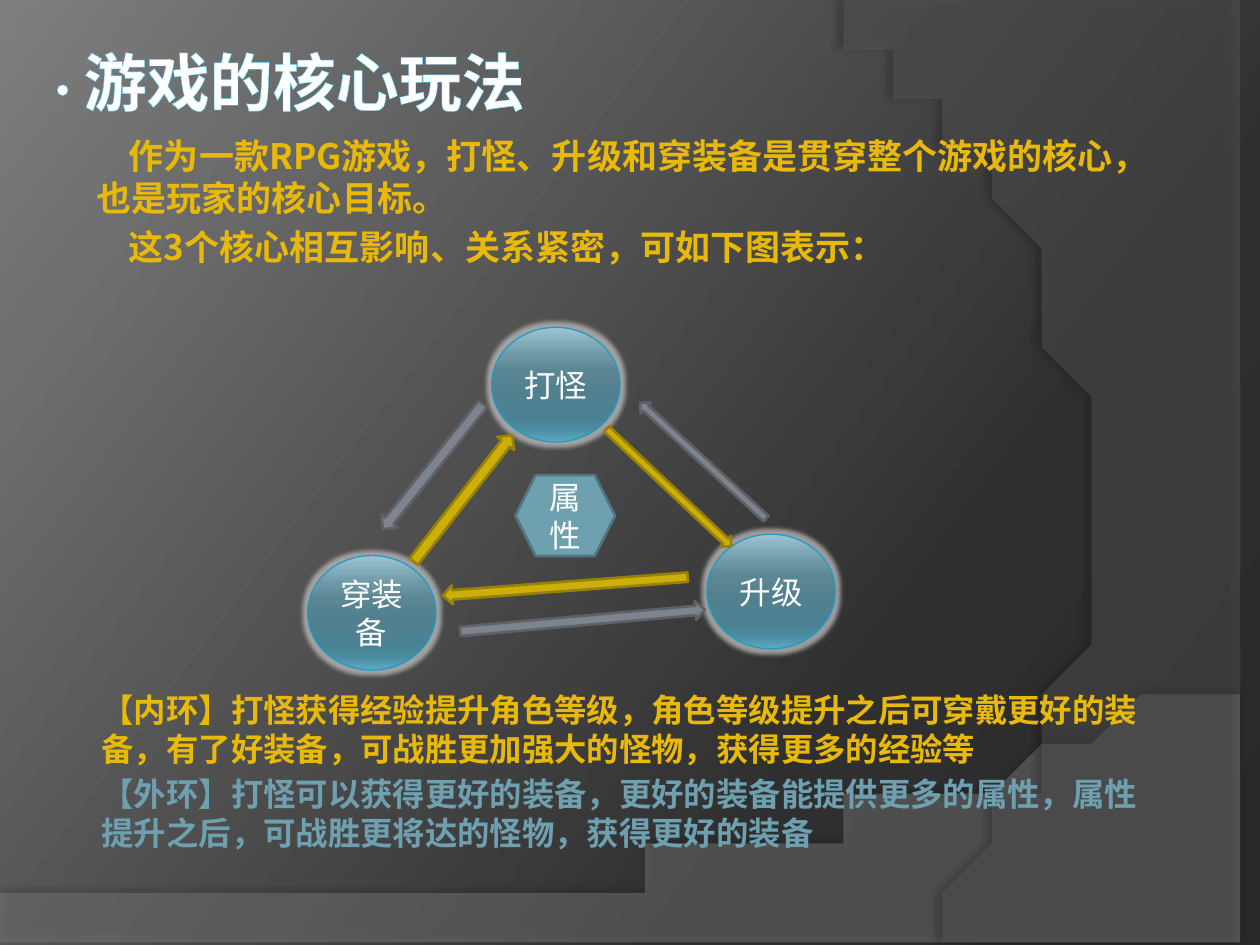
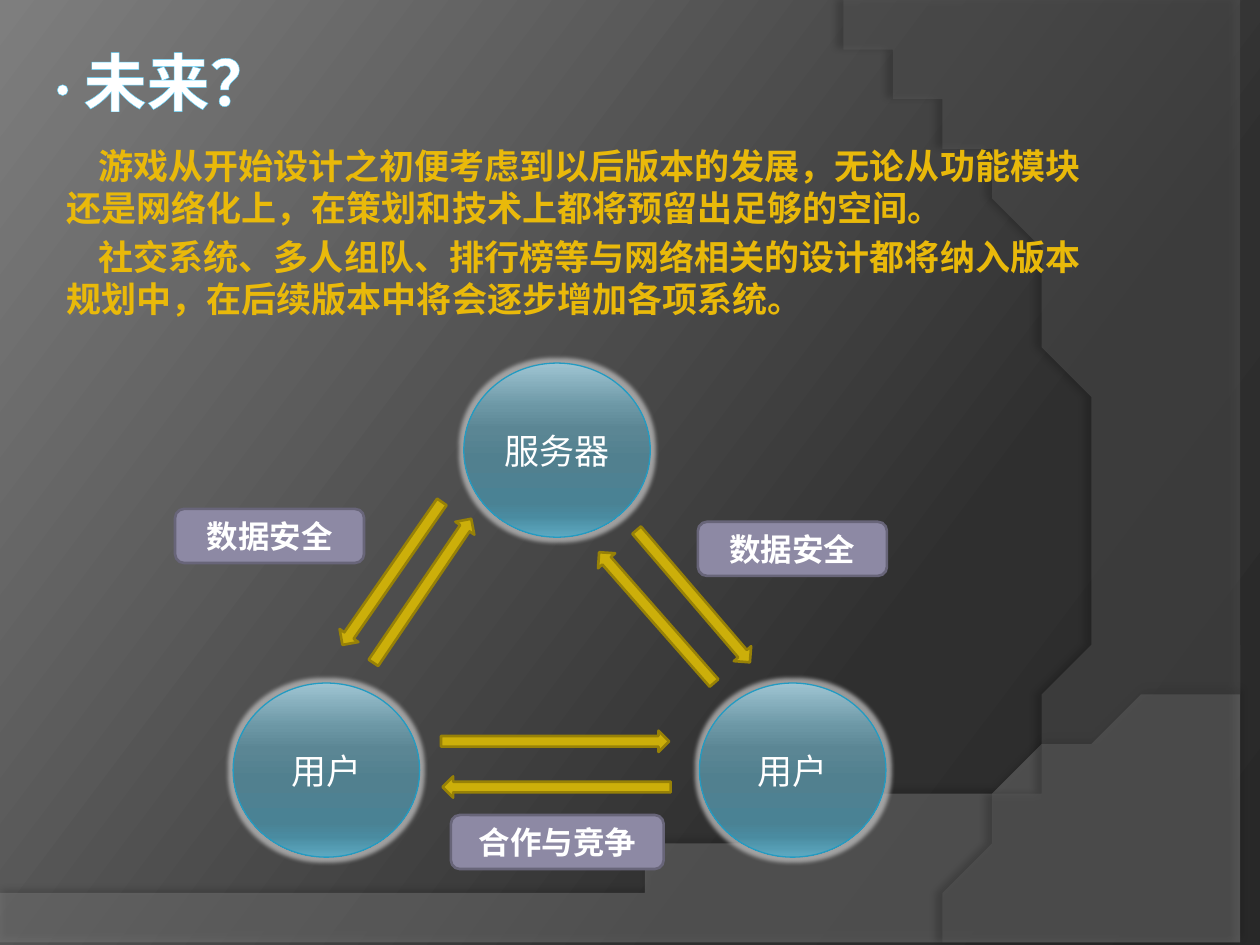
from dataclasses import dataclass

import pptx
import pptx.dml.color
import pptx.enum.shapes
import pptx.enum.text
import pptx.oxml.ns
import pptx.util
from lxml import etree

Cm = pptx.util.Cm
Pt = pptx.util.Pt
RGB = pptx.dml.color.RGBColor.from_string
qn = pptx.oxml.ns.qn
Shape = pptx.enum.shapes.MSO_SHAPE
Align = pptx.enum.text.PP_ALIGN
Anchor = pptx.enum.text.MSO_ANCHOR


@dataclass(frozen=True)
class Theme:
    font: str = "Noto Sans CJK SC"
    white: str = "FFFFFF"
    blue: str = "6EA0B0"
    halo: str = "BFBFBF"
    title_edge: str = "5DD4FF"
    orb_edge: str = "239BC2"
    gold: tuple = ("CCAF0A", "978107")
    gray: tuple = ("7E848D", "5D6268")
    teal: tuple = ("6EA0B0", "517682")
    purple: tuple = ("8D89A4", "686579")
    backdrop: tuple = ((0, "282828"), (30, "2F2F2F"), (100, "7E7E7E"))
    gold_text: tuple = ((0, "FFDC75"), (75, "E9B90A"), (100, "9E8700"))
    orb: tuple = ((0, "9EC4D2"), (25, "6C97A5"), (38, "5B8694"), (55, "51808F"),
                  (80, "4A8294"), (88, "4A8BA0"), (100, "5DAAC2"))
    title_size: float = 36
    bullet_size: float = 24
    body_size: float = 20
    note_size: float = 18.5
    label_size: float = 18


def add_color(parent, color, alpha=None):
    clr = etree.SubElement(parent, qn("a:srgbClr"), val=color)
    if alpha is not None:
        etree.SubElement(clr, qn("a:alpha"), val=str(alpha * 1000))


def set_gradient(fill, element, stops, angle):
    fill.gradient()
    grad = next(element.iter(qn("a:gradFill")))
    gs_list = grad.find(qn("a:gsLst"))
    for gs in list(gs_list):
        gs_list.remove(gs)
    for pos, color in stops:
        add_color(etree.SubElement(gs_list, qn("a:gs"), pos=str(pos * 1000)), color)
    grad.find(qn("a:lin")).set("ang", str(angle * 60000))


def add_effect(sp, name, color, alpha, **attrs):
    effects = sp._element.spPr.find(qn("a:effectLst"))
    effect = etree.SubElement(effects, qn("a:" + name),
                              {key: str(int(value)) for key, value in attrs.items()})
    add_color(effect, color, alpha)


def write(p, text, *, font, size, color, bold=False, edge=None):
    r = p.add_run()
    r.text = text
    r.font.name = font
    r.font.size = Pt(size)
    r.font.bold = bold
    rPr = r._r.get_or_add_rPr()
    rPr.set("lang", "zh-CN")
    if isinstance(color, str):
        r.font.fill.solid()
        r.font.fill.fore_color.rgb = RGB(color)
    else:
        set_gradient(r.font.fill, rPr, color, 90)
    etree.SubElement(rPr, qn("a:ea"), typeface=font)
    if edge:
        ln = etree.Element(qn("a:ln"), w=str(int(Pt(0.39))))
        add_color(etree.SubElement(ln, qn("a:solidFill")), edge)
        rPr.insert(0, ln)
    p.line_spacing = Pt(round(size * 1.2, 1))


def bezier(start, c1, c2, end, steps=40):
    for i in range(1, steps + 1):
        t = i / steps
        u = 1 - t
        yield tuple(u ** 3 * a + 3 * u * u * t * b + 3 * u * t * t * c + t ** 3 * d
                    for a, b, c, d in zip(start, c1, c2, end))


class Deck:
    def __init__(self, theme):
        self.theme = theme
        self.prs = pptx.Presentation()
        self.prs.slide_width, self.prs.slide_height = Cm(25.4), Cm(19.05)
        self.layout = self.prs.slide_layouts[6]
        set_gradient(self.layout.background.fill, self.layout._element, theme.backdrop, 217)

    def new_slide(self, title):
        self.s = self.prs.slides.add_slide(self.layout)
        self.wave([(0, 17.91), (0, 19.05), (25.4, 19.05), (25.4, 13.21)],
                  [(14.2, 18.52), (9.93, 18.26), (0, 17.91)], "7F7F7F", 45, 35, 3.5, 270)
        self.wave([(25.4, 0.05), (25.4, 19.05), (17.86, 19.05)],
                  [(22.63, 15.72), (24.05, 6.99), (16.97, 0)], "5E5E5E", 40, 45, 4, 180)
        tf = self.text_box(0.71, 0.74, 18.01, 2.46, (0.13, 0.13, 0.13, 0.13))
        th = self.theme
        for text, size in (("·", th.bullet_size), (title, th.title_size)):
            write(tf.paragraphs[0], text, font=th.font, size=size, color=th.white,
                  bold=True, edge=th.title_edge)

    def wave(self, corners, curve, color, alpha, shadow_alpha, distance, direction):
        points = corners[1:] + list(bezier(corners[-1], *curve))
        builder = self.s.shapes.build_freeform(*corners[0], scale=float(Cm(1)))
        builder.add_line_segments(points, close=True)
        sp = builder.convert_to_shape()
        self.paint(sp, color)
        clr = sp._element.spPr.find(qn("a:solidFill")).find(qn("a:srgbClr"))
        etree.SubElement(clr, qn("a:alpha"), val=str(alpha * 1000))
        add_effect(sp, "outerShdw", "000000", shadow_alpha, blurRad=Pt(4),
                   dist=Pt(distance), dir=direction * 60000)

    def paint(self, sp, fill, line=None, width=1.5):
        sp.shadow.inherit = False
        if isinstance(fill, str):
            sp.fill.solid()
            sp.fill.fore_color.rgb = RGB(fill)
        else:
            set_gradient(sp.fill, sp._element, fill, 90)
        if line:
            sp.line.color.rgb = RGB(line)
            sp.line.width = Pt(width)
        else:
            sp.line.fill.background()

    def text_box(self, x, y, w, h, insets):
        tf = self.s.shapes.add_textbox(Cm(x), Cm(y), Cm(w), Cm(h)).text_frame
        tf.word_wrap = True
        tf.margin_left, tf.margin_top, tf.margin_right, tf.margin_bottom = map(Cm, insets)
        return tf

    def body(self, x, y, h, paragraphs, size, indent=0.0):
        tf = self.text_box(x, y, 21.41, h, (0.25, 0, 0.13, 0))
        for i, (text, color) in enumerate(paragraphs):
            p = tf.add_paragraph() if i else tf.paragraphs[0]
            p.space_before = Pt(size * 0.2)
            p._p.get_or_add_pPr().set("indent", str(int(Cm(indent))))
            write(p, text, font=self.theme.font, size=size, color=color, bold=True)

    def shape(self, kind, x, y, w, h, fill, line, width=1.5):
        sp = self.s.shapes.add_shape(kind, Cm(x), Cm(y), Cm(w), Cm(h))
        self.paint(sp, fill, line, width)
        return sp

    def label(self, sp, text, size, bold=False):
        tf = sp.text_frame
        tf.word_wrap = True
        tf.vertical_anchor = Anchor.MIDDLE
        p = tf.paragraphs[0]
        p.alignment = Align.CENTER
        write(p, text, font=self.theme.font, size=size, color=self.theme.white, bold=bold)

    def orb(self, x, y, w, h, text, size):
        th = self.theme
        sp = self.shape(Shape.OVAL, x, y, w, h, th.orb, th.orb_edge, 0.75)
        add_effect(sp, "glow", th.halo, 75, rad=Pt(5))
        self.label(sp, text, size)

    def arrow(self, x, y, w, h, angle, colors):
        self.shape(Shape.RIGHT_ARROW, x, y, w, h, *colors).rotation = angle

    def tag(self, x, y, w, text):
        sp = self.shape(Shape.ROUNDED_RECTANGLE, x, y, w, 1.09, *self.theme.purple)
        self.label(sp, text, self.theme.label_size, bold=True)

    def hexagon(self, x, y, w, h, text):
        sp = self.shape(Shape.HEXAGON, x, y, w, h, *self.theme.teal)
        self.label(sp, text, self.theme.label_size)


def gameplay_slide(deck):
    th = deck.theme
    deck.new_slide("游戏的核心玩法")
    deck.body(1.7, 2.72, 3.61, [
        ("作为一款RPG游戏，打怪、升级和穿装备是贯穿整个游戏的核心，也是玩家的核心目标。", th.gold_text),
        ("这3个核心相互影响、关系紧密，可如下图表示：", th.gold_text),
    ], th.body_size, indent=0.65)
    for x, y, text in ((9.91, 6.6, "打怪"), (6.2, 11.2, "穿装备"), (14.25, 10.77, "升级")):
        deck.orb(x, y, 2.59, 2.31, text, th.label_size)
    inner_ring = ((7.72, 9.83, 3.23, 0.43, 307.9), (8.92, 11.63, 4.95, 0.38, 175.7),
                  (11.76, 9.68, 3.45, 0.3, 43.3))
    outer_ring = ((9.27, 12.32, 4.95, 0.38, 354.9), (12.45, 9.14, 3.45, 0.3, 222.6),
                  (7.11, 9.19, 3.23, 0.43, 128.7))
    for ring, colors in ((inner_ring, th.gold), (outer_ring, th.gray)):
        for place in ring:
            deck.arrow(*place, colors)
    deck.body(1.8, 13.92, 3.61, [
        ("【内环】打怪获得经验提升角色等级，角色等级提升之后可穿戴更好的装备，"
         "有了好装备，可战胜更加强大的怪物，获得更多的经验等", th.gold_text),
        ("【外环】打怪可以获得更好的装备，更好的装备能提供更多的属性，"
         "属性提升之后，可战胜更将达的怪物，获得更好的装备", th.blue),
    ], th.note_size)
    deck.hexagon(10.39, 9.58, 2.01, 1.63, "属性")


def future_slide(deck):
    th = deck.theme
    deck.new_slide("未来？")
    deck.body(1.09, 2.92, 7.8, [
        ("游戏从开始设计之初便考虑到以后版本的发展，无论从功能模块还是网络化上，"
         "在策划和技术上都将预留出足够的空间。", th.gold_text),
        ("社交系统、多人组队、排行榜等与网络相关的设计都将纳入版本规划中，"
         "在后续版本中将会逐步增加各项系统。", th.gold_text),
    ], th.body_size, indent=0.65)
    for x, y, text in ((9.35, 7.32, "服务器"), (4.7, 13.77, "用户"), (14.1, 13.77, "用户")):
        deck.orb(x, y, 3.76, 3.51, text, th.body_size)
    for x, y, angle in ((8.89, 14.73, 0), (8.92, 15.65, 180)):
        deck.arrow(x, y, 4.6, 0.43, angle, th.gold)
    for x, y, angle in ((11.48, 12.22, 228.7), (12.22, 11.79, 49.4),
                        (6.76, 11.68, 304.2), (6.15, 11.33, 124.8)):
        deck.arrow(x, y, 3.51, 0.46, angle, th.gold)
    for x, y, w, text in ((14.07, 10.52, 3.81, "数据安全"), (3.53, 10.26, 3.81, "数据安全"),
                          (9.09, 16.43, 4.29, "合作与竞争")):
        deck.tag(x, y, w, text)


def main():
    deck = Deck(Theme())
    gameplay_slide(deck)
    future_slide(deck)
    deck.prs.save("out.pptx")


if __name__ == "__main__":
    main()
